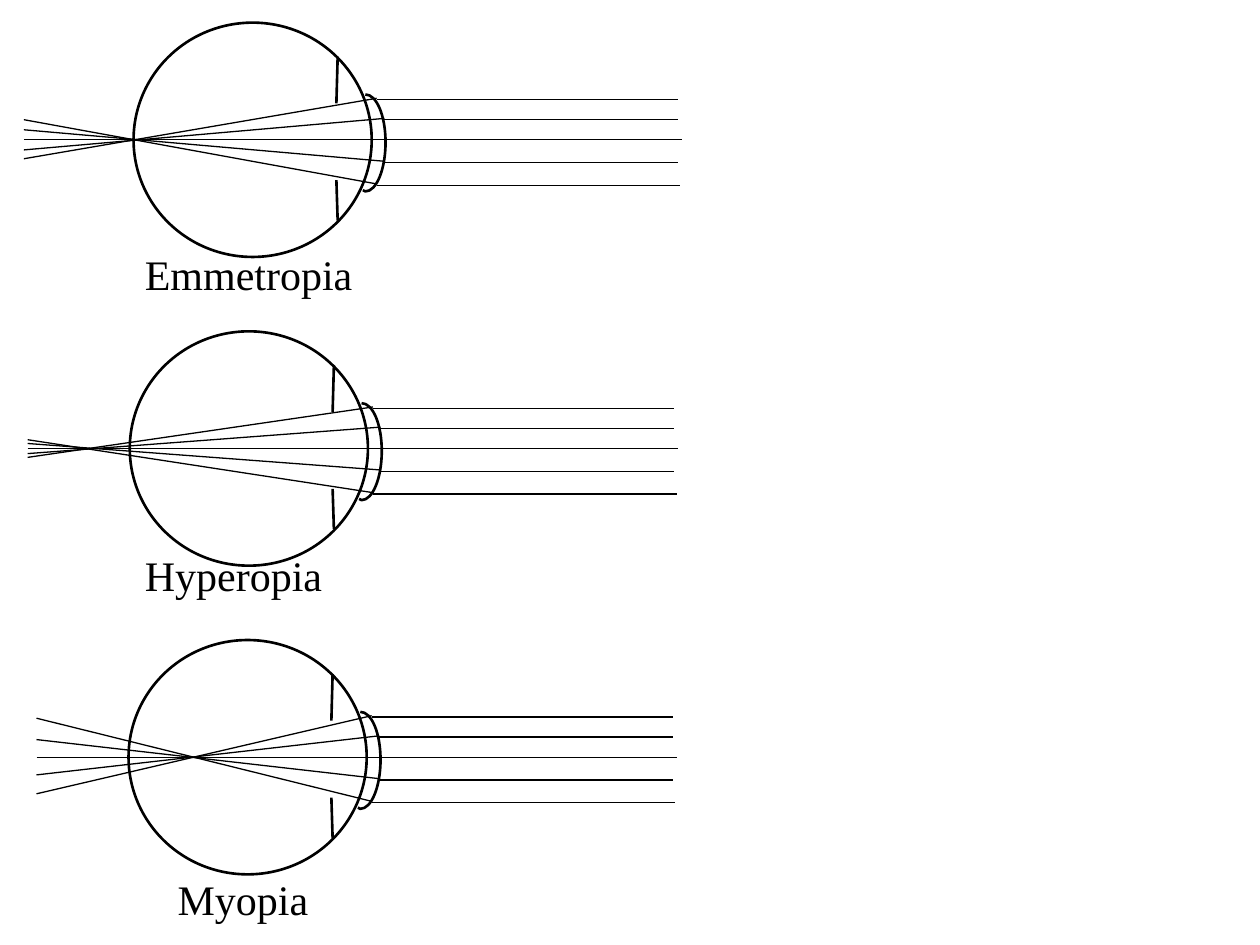
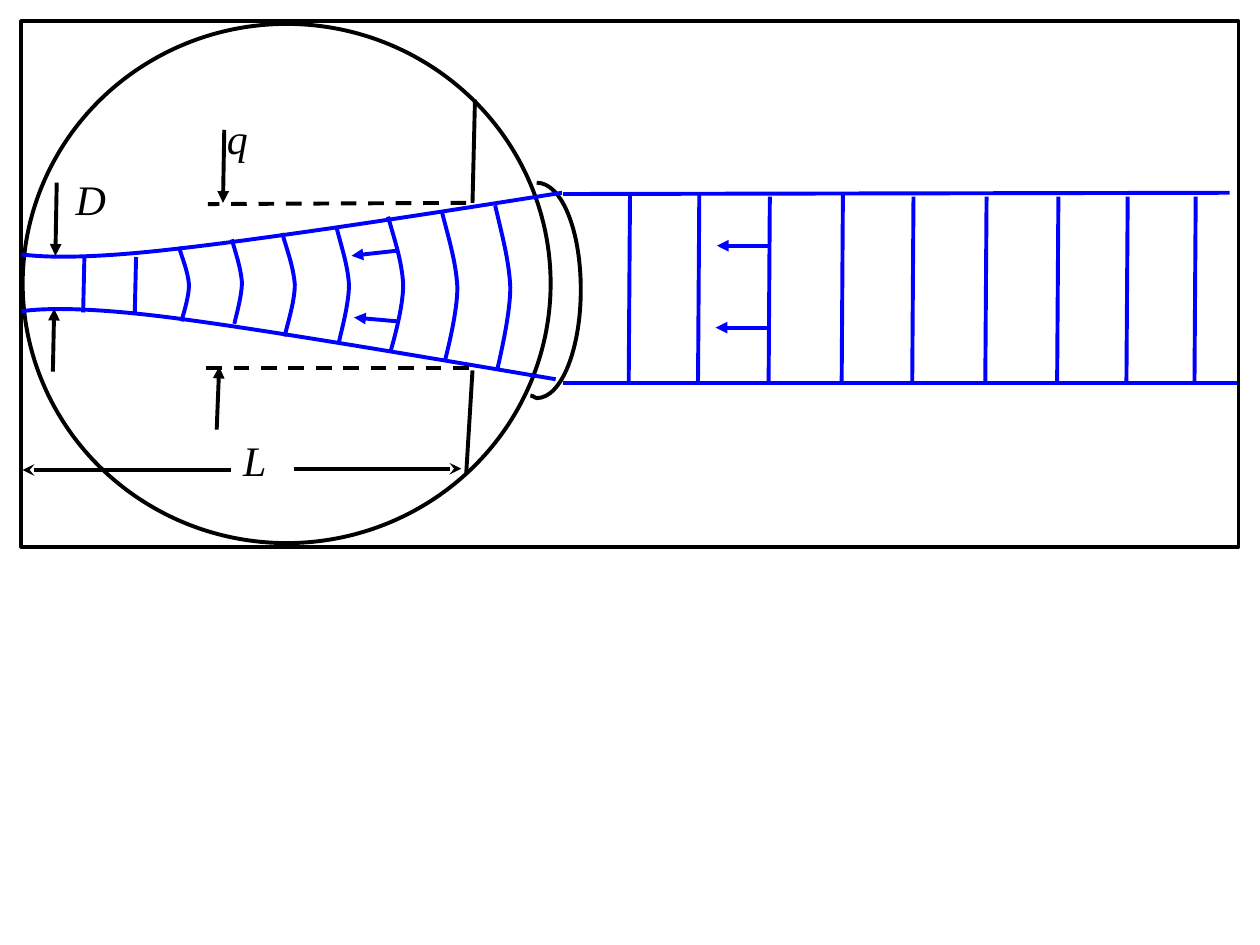
from dataclasses import dataclass

from lxml.etree import SubElement
from pptx import Presentation
from pptx.dml.color import RGBColor
from pptx.enum.dml import MSO_LINE
from pptx.enum.shapes import MSO_CONNECTOR, MSO_SHAPE
from pptx.oxml.ns import qn
from pptx.util import Pt

SCALE = 9144
EYE_SIZE = (189, 186)
AXIS = 93


@dataclass(frozen=True)
class Theme:
    """Hold the colours, line widths and type of the deck."""

    ink: RGBColor = RGBColor(0, 0, 0)
    paper: RGBColor = RGBColor(255, 255, 255)
    light: RGBColor = RGBColor(0, 0, 255)
    ray: float = 0.75
    outline: float = 1.5
    heavy: float = 2.25
    font: str = "Times New Roman"
    label: int = 24


THEME = Theme()


def emu(*lengths):
    """Turn px lengths into EMU."""
    return [round(length) * SCALE for length in lengths]


def apply_format(target, values):
    """Set each named attribute of the target."""
    for name, value in values.items():
        setattr(target, name, value)


def stroke(line, color, width):
    """Give a line its colour and width."""
    line.color.rgb = color
    line.width = Pt(width)


def outline(slide, kind, box, width, fill=None):
    """Draw an ink-lined preset shape in the box."""
    figure = slide.shapes.add_shape(kind, *emu(*box))
    figure.shadow.inherit = False
    if fill is None:
        figure.fill.background()
    else:
        figure.fill.solid()
        figure.fill.fore_color.rgb = fill
    stroke(figure.line, THEME.ink, width)


def segment(slide, start, end, width, color=THEME.ink, tail=None, dash=None):
    """Draw a straight line, with an arrowhead or dashes if asked."""
    link = slide.shapes.add_connector(MSO_CONNECTOR.STRAIGHT, *emu(*start, *end))
    stroke(link.line, color, width)
    if dash:
        link.line.dash_style = dash
    if tail:
        SubElement(link.line._get_or_add_ln(), qn("a:tailEnd"), type=tail)
    SubElement(link._element.spPr, qn("a:effectLst"))


def curve(slide, points, width, color=THEME.ink):
    """Draw joined cubic curves through a start and triples of points."""
    start, *controls = [(round(x), round(y)) for x, y in points]
    builder = slide.shapes.build_freeform(*start, scale=SCALE)
    builder.add_line_segments(controls, close=False)
    arc = builder.convert_to_shape()
    arc.shadow.inherit = False
    arc.fill.background()
    stroke(arc.line, color, width)
    steps = list(arc._element.iter(qn("a:lnTo")))
    for first in range(0, len(steps), 3):
        bend, *others = steps[first:first + 3]
        bezier = SubElement(bend.getparent(), qn("a:cubicBezTo"))
        for step in (bend, *others):
            bezier.append(step[0])
            step.getparent().remove(step)


def label(slide, text, box, italic=False):
    """Write one label in the box."""
    frame = slide.shapes.add_textbox(*emu(*box)).text_frame
    side, edge = emu(8, 4)
    apply_format(frame, {"word_wrap": True, "margin_left": side, "margin_right": side,
                         "margin_top": edge, "margin_bottom": edge})
    run = frame.paragraphs[0].add_run()
    run.text = text
    apply_format(run.font, {"name": THEME.font, "size": Pt(THEME.label), "italic": italic})
    run.font.color.rgb = THEME.ink


def eye(slide, box, width, lower_iris=((162, 157), (161, 125))):
    """Draw the eyeball, cornea and iris scaled to the box."""
    left, top, across, _ = box
    ratio = across / EYE_SIZE[0]

    def place(points):
        """Move points from eye units into the box."""
        return [(left + x * ratio, top + y * ratio) for x, y in points]

    cornea = [(184, 57), (193, 57), (200, 74), (200, 95), (200, 116), (193, 134),
              (184, 134), (183, 134), (183, 133), (182, 133)]
    outline(slide, MSO_SHAPE.OVAL, box, width, THEME.paper)
    curve(slide, place(cornea), width)
    for iris in (((162, 27), (161, 64)), lower_iris):
        segment(slide, *place(iris), width)


def refraction(slide, origin, name, focus, reach, label_offset):
    """Draw an eye whose parallel rays cross at the focus and stop at reach."""
    left, top = origin
    eye(slide, (*origin, *EYE_SIZE), THEME.outline)

    def ray(start, end):
        """Draw one thin ray in eye units."""
        segment(slide, (left + start[0], top + start[1]),
                (left + end[0], top + end[1]), THEME.ray)

    ray((reach, AXIS), (435, AXIS))
    for entry, height, source in ((193, 61, 432), (199, 77, 432), (199, 111, 432), (193, 129, 434)):
        ray((entry, height), (source, height))
        bent = height - 1
        slope = (bent - AXIS) / (entry - focus)
        ray((entry, bent), (reach, AXIS + slope * (reach - focus)))
    x, y = label_offset
    label(slide, name, (left + x, top + y, 236, 59))


def plane_waves(slide, origin):
    """Draw the parallel beam and its flat wavefronts outside the eye."""
    left, top = origin
    style = (THEME.heavy, THEME.light)
    segment(slide, (left, top), (left + 529, top - 1), *style)
    segment(slide, (left, top + 150), (left + 535, top + 150), *style)
    for x, drop in ((53, 0), (108, 0), (164, 2), (222, 0), (278, 2),
                    (336, 2), (393, 2), (448, 2), (502, 2)):
        segment(slide, (left + x, top + drop), (left + x - 1, top + drop + 149), *style)
    for x, y in ((164, 41), (163, 106)):
        segment(slide, (left + x, top + y), (left + x - 42, top + y), *style, tail="triangle")


def focused_waves(slide, origin):
    """Draw the narrowing beam and its curved wavefronts inside the eye."""
    left, top = origin
    style = (THEME.heavy, THEME.light)

    def place(points):
        """Move points from beam units onto the slide."""
        return [(left + x, top + y) for x, y in points]

    edges = (
        [(429, 0), (310, 19), (191, 37), (119, 45), (48, 53), (16, 51), (0, 49)],
        [(424, 148), (306, 128), (188, 108), (118, 99), (47, 90), (16, 92), (0, 94)],
    )
    for edge in edges:
        curve(slide, place(edge), *style)
    bulge = ((0, 0), (.42, .17), (.92, .33), (.96, .5), (1, .67), (.33, .93), (.2, 1))
    for x, y, width, height in ((376, 10, 12, 129), (334, 16, 12, 118), (291, 19, 12, 107),
                                (250, 27, 10, 92), (207, 32, 10, 82), (167, 37, 8, 67),
                                (125, 43, 8, 59)):
        curve(slide, place([(x + u * width, y + v * height) for u, v in bulge]), *style)
    for x in (91, 50):
        segment(slide, *place([(x, 51), (x - 1, 95)]), *style)
    for direction in ([(298, 102), (264, 99)], [(298, 46), (262, 50)]):
        segment(slide, *place(direction), *style, tail="triangle")


def dimensions(slide, origin):
    """Draw the marks and letters for spot, pupil and length."""
    left, top = origin

    def mark(start, end, **ending):
        """Draw one dimension line."""
        segment(slide, (left + start[0], top + start[1]),
                (left + end[0], top + end[1]), THEME.heavy, **ending)

    for start, end in (((28, 128), (27, 186)), ((25, 278), (26, 228)),
                       ((161, 86), (160, 144)), ((155, 324), (157, 274))):
        mark(start, end, tail="triangle")
    for start, end in (((353, 144), (148, 145)), ((355, 275), (142, 275))):
        mark(start, end, dash=MSO_LINE.DASH)
    for start, end in (((166, 356), (1, 356)), ((216, 355), (349, 355))):
        mark(start, end, tail="stealth")
    for letter, x, y, height in (("L", 168, 324, 51), ("q", 155, 68, 63), ("D", 35, 117, 52)):
        label(slide, letter, (left + x, top + y, 54, height), italic=True)


def refraction_slide(slide):
    """Stack the three kinds of eye."""
    for case in (
        ((106, 18), "Emmetropia", 2, -87, (1, 175)),
        ((103, 263), "Hyperopia", -33, -81, (4, 169)),
        ((102, 508), "Myopia", 51, -73, (31, 181)),
    ):
        refraction(slide, *case)


def wavefront_slide(slide):
    """Show light waves focused on the back of one eye."""
    frame = (17, 17, 966, 417)
    left, top = frame[:2]
    outline(slide, MSO_SHAPE.RECTANGLE, frame, THEME.heavy)
    eye(slide, (left + 1, top + 2, 419, 412), THEME.heavy, ((159, 161), (161, 124)))
    plane_waves(slide, (left + 430, top + 137))
    focused_waves(slide, (left, top + 136))
    dimensions(slide, (left, top))


def main():
    """Build and save the deck."""
    deck = Presentation()
    deck.slide_width, deck.slide_height = emu(1000, 750)
    for build in (refraction_slide, wavefront_slide):
        build(deck.slides.add_slide(deck.slide_layouts[6]))
    deck.save("out.pptx")


if __name__ == "__main__":
    main()
